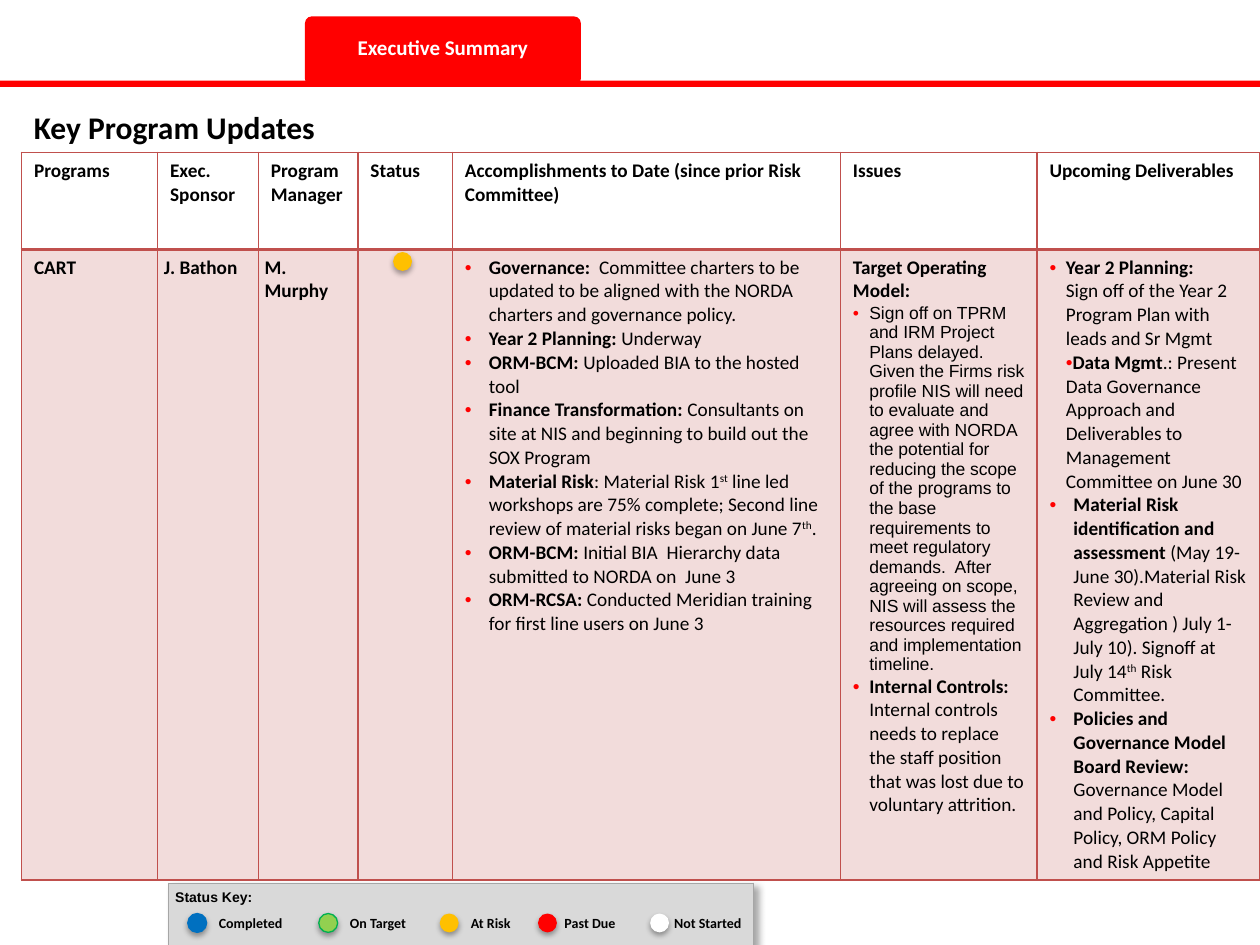
from lxml.etree import SubElement
from pptx import Presentation
from pptx.dml.color import RGBColor
from pptx.enum.shapes import MSO_SHAPE
from pptx.enum.text import MSO_ANCHOR, PP_ALIGN
from pptx.oxml import parse_xml
from pptx.oxml.ns import nsdecls, qn
from pptx.util import Inches, Pt

RED, BLACK, WHITE, AMBER = "FF0000", "000000", "FFFFFF", "FFC000"
BORDER, TINT = "C0504D", "F2DCDB"
NO_STYLE = "{2D5ABB26-0587-4C30-8999-92F81FD0307C}"

COLUMN_WIDTHS = [1.08, 0.8, 0.79, 0.75, 3.08, 1.56, 1.77]
ROW_HEIGHTS = [0.77, 4.86]
HEADERS = ["Programs", "Exec. Sponsor", "Program Manager", "Status",
           "Accomplishments to Date (since prior Risk Committee)", "Issues",
           "Upcoming Deliverables"]

ACCOMPLISHMENTS = [(text, True, 0.19, -0.19) for text in (
    "*Governance:  *Committee charters to be updated to be aligned with the NORDA charters and governance policy.",
    "*Year 2 Planning: *Underway",
    "*ORM-BCM: *Uploaded BIA to the hosted tool",
    "*Finance Transformation: *Consultants on site at NIS and beginning to build out the SOX Program",
    "*Material Risk*: Material Risk 1^st^ line led workshops are 75% complete; "
    "Second line review of material risks began on June 7^th^.",
    "*ORM-BCM:* Initial BIA  Hierarchy data submitted to NORDA on  June 3",
    "*ORM-RCSA:* Conducted Meridian training for first line users on June 3",
)]
SCOPE_ISSUE = (
    "Sign off on TPRM and IRM Project Plans delayed. Given the Firms risk profile NIS will need to "
    "evaluate and agree with NORDA the potential for reducing the scope of the programs to the base "
    "requirements to meet regulatory demands.  After agreeing on scope, NIS will assess the resources "
    "required and implementation timeline.")
ISSUES = [
    ("*Target Operating Model:*", False, 0, 0),
    (SCOPE_ISSUE, True, 0.13, -0.13),
    ("*Internal Controls: *Internal controls needs to replace the staff position that was lost due to "
     "voluntary attrition.", True, 0.13, -0.13),
]
DELIVERABLES = [
    ("*Year 2 Planning:*", True, 0.13, -0.13),
    ("Sign off of the Year 2 Program Plan with leads and Sr Mgmt", False, 0.13, 0),
    ("*Data Mgmt*.: Present Data Governance Approach and Deliverables to Management Committee on June 30",
     True, 0.13, 0),
    ("*Material Risk identification and assessment *(May 19-June 30).Material Risk Review and "
     "Aggregation ) July 1-July 10). Signoff at July 14^th^ Risk Committee.", True, 0.19, -0.19),
    ("*Policies and Governance Model Board Review:  *Governance Model and Policy, Capital Policy, "
     "ORM Policy and Risk Appetite", True, 0.19, -0.19),
]


def plain(text):
    return [(f"*{text}*", False, 0, 0)]


ROWS = [
    [plain(header) for header in HEADERS],
    [plain("CART"), plain("J. Bathon"), plain("M. Murphy"), [], ACCOMPLISHMENTS, ISSUES, DELIVERABLES],
]

STATUS_KEY = [
    ("Completed", 1.49, "0070C0", "0070C0", 1.61, 0.76, PP_ALIGN.CENTER),
    ("On Target", 2.53, "92D050", "00B050", 2.67, 0.66, PP_ALIGN.CENTER),
    ("At Risk", 3.49, AMBER, None, 3.66, 0.47, PP_ALIGN.CENTER),
    ("Past Due", 4.27, RED, None, 4.48, 0.52, PP_ALIGN.LEFT),
    ("Not Started", 5.16, WHITE, None, 5.35, 0.63, PP_ALIGN.LEFT),
]


def color(value):
    return RGBColor.from_string(value)


def style(span, size, font="Calibri", ink=BLACK, bold=True):
    span.font.size, span.font.name, span.font.bold = Pt(size), font, bold
    span.font.color.rgb = color(ink)


def shadow_effect(blur, distance, angle):
    return parse_xml(
        f'<a:effectLst {nsdecls("a")}><a:outerShdw blurRad="{Pt(blur)}" dist="{Pt(distance)}" '
        f'dir="{angle * 60000}" rotWithShape="0"><a:srgbClr val="000000"><a:alpha val="35000"/>'
        '</a:srgbClr></a:outerShdw></a:effectLst>')


def add_box(shapes, kind, left, top, width, height, fill, line=None):
    box = shapes.add_shape(kind, Inches(left), Inches(top), Inches(width), Inches(height))
    box.shadow.inherit = False
    box.fill.solid()
    box.fill.fore_color.rgb = color(fill)
    if line:
        box.line.color.rgb = color(line)
        box.line.width = Pt(0.75)
    else:
        box.line.fill.background()
    return box


def add_dot(shapes, left, top, fill, line=None):
    dot = add_box(shapes, MSO_SHAPE.ROUNDED_RECTANGLE, left, top, 0.15, 0.15, fill, line)
    dot.adjustments[0] = 0.5
    properties = dot._element.spPr
    properties.replace(properties.find(qn("a:effectLst")), shadow_effect(3.1, 1.8, 90))


def add_label(shapes, text, left, top, width, height, size):
    box = shapes.add_textbox(Inches(left), Inches(top), Inches(width), Inches(height))
    box.text_frame.text = text
    style(box.text_frame.paragraphs[0].runs[0], size)
    return box.text_frame


def add_table(left, top, widths, heights):
    frame = page.shapes.add_table(len(heights), len(widths), Inches(left), Inches(top),
                                  Inches(sum(widths)), Inches(sum(heights)))
    table = frame.table
    table.first_row = table.horz_banding = False
    table._tbl.tblPr.find(qn("a:tableStyleId")).text = NO_STYLE
    for column, width in zip(table.columns, widths):
        column.width = Inches(width)
    for row, height in zip(table.rows, heights):
        row.height = Inches(height)
    return table


def format_cell(cell, fill, line, widths):
    properties = cell._tc.get_or_add_tcPr()
    for side, width in zip("LRTB", widths):
        edge = SubElement(properties, qn(f"a:ln{side}"), w=str(Pt(width)))
        SubElement(SubElement(edge, qn("a:solidFill")), qn("a:srgbClr"), val=line)
    if fill:
        cell.fill.solid()
        cell.fill.fore_color.rgb = color(fill)
    else:
        cell.fill.background()


def write_rich(frame, content):
    for index, (text, bulleted, left, indent) in enumerate(content):
        para = frame.add_paragraph() if index else frame.paragraphs[0]
        properties = para._p.get_or_add_pPr()
        properties.set("marL", str(Inches(left)))
        properties.set("indent", str(Inches(indent)))
        if bulleted:
            SubElement(SubElement(properties, qn("a:buClr")), qn("a:srgbClr"), val=RED)
            SubElement(properties, qn("a:buFont"), typeface="Arial")
            SubElement(properties, qn("a:buChar"), char="•")
        size, font = (10, "Arial") if text == SCOPE_ISSUE else (11, "Calibri")
        for part, chunk in enumerate(text.split("*")):
            for piece, words in enumerate(chunk.split("^")):
                if words:
                    span = para.add_run()
                    span.text = words
                    style(span, size, font, bold=part % 2 == 1)
                    if piece % 2:
                        span._r.get_or_add_rPr().set("baseline", "30000")


deck = Presentation()
deck.slide_width, deck.slide_height = Inches(10), Inches(7.5)
page = deck.slides.add_slide(deck.slide_layouts[6])

key_table = add_table(1.34, 7.01, [4.64], [0.5])
key_table._tbl.tblPr.insert(0, shadow_effect(4, 3, 45))
key_cell = key_table.cell(0, 0)
format_cell(key_cell, "D9D9D9", "A6A6A6", [0.75] * 4)
key_cell.margin_left = key_cell.margin_right = Inches(0.05)
key_cell.text_frame.text = "Status Key:"
style(key_cell.text_frame.paragraphs[0].runs[0], 8, "Arial")

tab = add_box(page.shapes, MSO_SHAPE.ROUNDED_RECTANGLE, 2.42, 0.13, 2.19, 0.55, RED)
tab.adjustments[0] = 0.1
tab.text_frame.text = "Executive Summary"
tab.text_frame.vertical_anchor = MSO_ANCHOR.MIDDLE
tab_para = tab.text_frame.paragraphs[0]
tab_para.alignment, tab_para.line_spacing = PP_ALIGN.CENTER, Pt(10)
style(tab_para.runs[0], 12, ink=WHITE)
add_box(page.shapes, MSO_SHAPE.RECTANGLE, 0, 0.64, 10, 0.05, RED)

programs = add_table(0.17, 1.21, COLUMN_WIDTHS, ROW_HEIGHTS)
for row_index, row in enumerate(ROWS):
    for column_index, content in enumerate(row):
        cell = programs.cell(row_index, column_index)
        format_cell(cell, TINT if row_index else None, BORDER,
                    [1, 1, 2, 1] if row_index else [1, 1, 1, 2])
        if row_index and column_index in (1, 2):
            cell.margin_left = cell.margin_right = Inches(0.05)
        write_rich(cell.text_frame, content)

title = add_label(page.shapes, "Key Program Updates", 0.17, 0.81, 2.45, 0.4, 18)
title.word_wrap = False

legend = page.shapes.add_group_shape().shapes
for name, dot_left, fill, line, label_left, label_width, alignment in STATUS_KEY:
    add_dot(legend, dot_left, 7.25, fill, line)
    label = add_label(legend, name, label_left, 7.26, label_width, 0.13, 8)
    label.margin_left = label.margin_right = label.margin_top = label.margin_bottom = 0
    label.vertical_anchor, label.word_wrap = MSO_ANCHOR.MIDDLE, True
    label.paragraphs[0].alignment = alignment

add_dot(page.shapes, 3.12, 2, AMBER)
deck.save("out.pptx")
